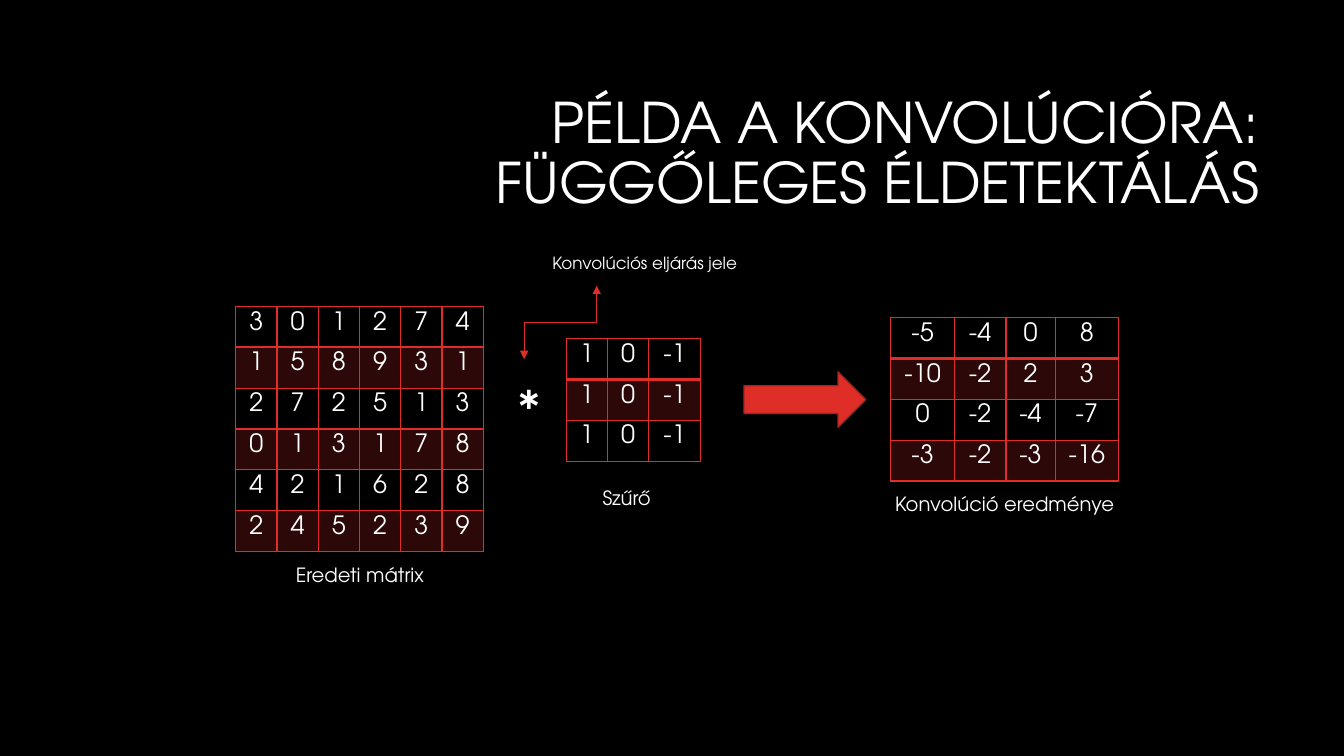
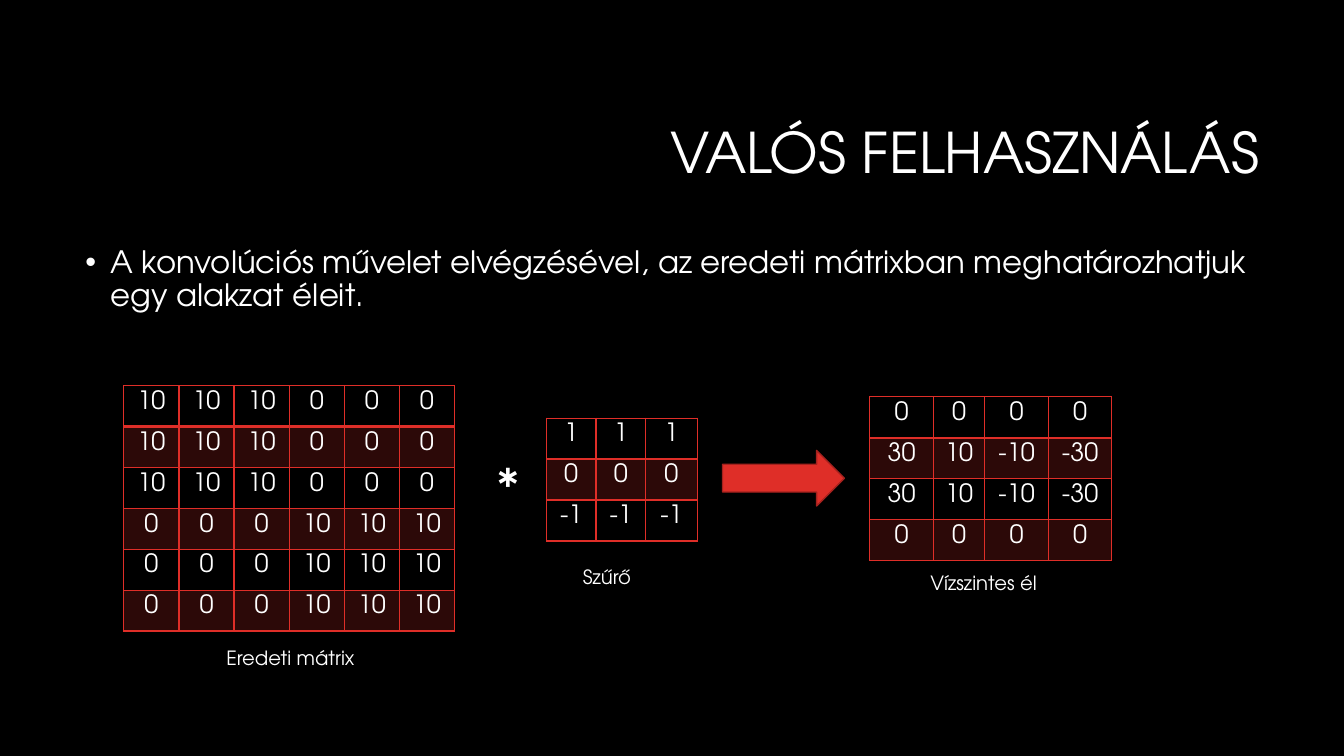
from dataclasses import dataclass

from lxml import etree
from pptx import Presentation
from pptx import util as u
from pptx.dml.color import RGBColor
from pptx.enum import shapes, text
from pptx.oxml.ns import qn

FONT = "TeX Gyre Adventor"
BLACK, WHITE, RED, DARK_RED = "000000", "FFFFFF", "DF2E28", "A5221E"
ROW_HEIGHT = 1.03
LEFT, CENTER, RIGHT = text.PP_ALIGN.LEFT, text.PP_ALIGN.CENTER, text.PP_ALIGN.RIGHT


@dataclass(frozen=True)
class Box:
    left: float
    top: float
    width: float
    height: float

    def lengths(self) -> list[u.Length]:
        return [u.Cm(value) for value in (self.left, self.top, self.width, self.height)]


@dataclass(frozen=True)
class Matrix:
    left: float
    top: float
    column_widths: tuple[float, ...]
    rows: tuple[tuple[int, ...], ...]
    caption: str
    caption_box: Box


@dataclass(frozen=True)
class Example:
    title: str
    operator_box: Box
    arrow_box: Box
    matrices: tuple[Matrix, ...]


EXAMPLES = (
    Example(
        "PÉLDA A KONVOLÚCIÓRA:\vFÜGGŐLEGES ÉLDETEKTÁLÁS",
        Box(12.83, 9.37, 0.81, 1.8),
        Box(18.75, 9.37, 3.07, 1.4),
        (
            Matrix(5.94, 7.72, (1.04,) * 6, (
                (3, 0, 1, 2, 7, 4),
                (1, 5, 8, 9, 3, 1),
                (2, 7, 2, 5, 1, 3),
                (0, 1, 3, 1, 7, 8),
                (4, 2, 1, 6, 2, 8),
                (2, 4, 5, 2, 3, 9),
            ), "Eredeti mátrix", Box(6.3, 14.07, 5.54, 0.86)),
            Matrix(14.27, 8.53, (1.04, 1.04, 1.3), ((1, 0, -1),) * 3,
                   "Szűrő", Box(14.27, 12.12, 3.05, 0.86)),
            Matrix(22.45, 8, (1.6, 1.3, 1.24, 1.6), (
                (-5, -4, 0, 8),
                (-10, -2, 2, 3),
                (0, -2, -4, -7),
                (-3, -2, -3, -16),
            ), "Konvolúció eredménye", Box(21.08, 12.27, 8.48, 0.86)),
        ),
    ),
    Example(
        "VALÓS FELHASZNÁLÁS",
        Box(12.29, 11.35, 0.81, 1.8),
        Box(18.21, 11.35, 3.07, 1.4),
        (
            Matrix(3.12, 9.72, (1.39,) * 6,
                   ((10, 10, 10, 0, 0, 0),) * 3 + ((0, 0, 0, 10, 10, 10),) * 3,
                   "Eredeti mátrix", Box(4.55, 16.15, 5.54, 0.86)),
            Matrix(13.77, 10.54, (1.25, 1.25, 1.3),
                   ((1,) * 3, (0,) * 3, (-1,) * 3),
                   "Szűrő", Box(13.77, 14.12, 3.05, 0.86)),
            Matrix(21.92, 10, (1.6, 1.3, 1.6, 1.6),
                   ((0,) * 4, (30, 10, -10, -30), (30, 10, -10, -30), (0,) * 4),
                   "Vízszintes él", Box(20.55, 14.27, 8.48, 0.86)),
        ),
    ),
)


def color(value: str) -> RGBColor:
    return RGBColor.from_string(value)


def style_paragraph(paragraph, size: float, alignment) -> None:
    paragraph.alignment = alignment
    paragraph.font.name = FONT
    paragraph.font.size = u.Pt(size)
    paragraph.font.color.rgb = color(WHITE)


def add_text(slide, box: Box, content: str, size: float, alignment=LEFT):
    shape = slide.shapes.add_textbox(*box.lengths())
    shape.text_frame.word_wrap = True
    paragraph = shape.text_frame.paragraphs[0]
    paragraph.text = content
    style_paragraph(paragraph, size, alignment)
    return shape


def add_title(slide, content: str) -> None:
    shape = add_text(slide, Box(8.05, 2.13, 23.93, 3.58), content, 40, RIGHT)
    shape.text_frame.vertical_anchor = text.MSO_ANCHOR.MIDDLE
    shape.text_frame.paragraphs[0].line_spacing = 0.9


def add_bullet(slide, content: str) -> None:
    shape = add_text(slide, Box(1.9, 6.1, 30.05, 11.18), content, 22)
    paragraph = shape.text_frame.paragraphs[0]
    paragraph.line_spacing = 0.9
    paragraph.space_before = u.Pt(10)
    properties = paragraph._p.get_or_add_pPr()
    indent = u.Cm(0.64)
    properties.set("marL", str(indent))
    properties.set("indent", str(-indent))
    etree.SubElement(properties, qn("a:buFont")).set("typeface", "Arial")
    etree.SubElement(properties, qn("a:buChar")).set("char", "•")
    defaults = properties.find(qn("a:defRPr"))
    if defaults is not None:
        properties.append(defaults)


def set_borders(cell, row_index: int) -> None:
    widths = {
        "a:lnL": 1,
        "a:lnR": 1,
        "a:lnT": 2 if row_index == 1 else 1,
        "a:lnB": 2 if row_index == 0 else 1,
    }
    properties = cell._tc.get_or_add_tcPr()
    for position, (tag, width) in enumerate(widths.items()):
        line = etree.Element(qn(tag), w=str(u.Pt(width)))
        fill = etree.SubElement(line, qn("a:solidFill"))
        etree.SubElement(fill, qn("a:srgbClr"), val=RED)
        properties.insert(position, line)


def fill_cell(cell, row_index: int) -> None:
    if row_index % 2 == 0:
        cell.fill.background()
        return
    cell.fill.solid()
    cell.fill.fore_color.rgb = color(RED)
    shade = cell._tc.tcPr.find(".//" + qn("a:srgbClr"))
    etree.SubElement(shade, qn("a:alpha"), val="20000")


def add_matrix(slide, matrix: Matrix) -> None:
    box = Box(matrix.left, matrix.top, sum(matrix.column_widths), ROW_HEIGHT * len(matrix.rows))
    table = slide.shapes.add_table(
        len(matrix.rows), len(matrix.column_widths), *box.lengths()).table
    table.first_row = False
    table.horz_banding = False
    for column, width in zip(table.columns, matrix.column_widths):
        column.width = u.Cm(width)
    for row_index, values in enumerate(matrix.rows):
        table.rows[row_index].height = u.Cm(ROW_HEIGHT)
        for column_index, value in enumerate(values):
            cell = table.cell(row_index, column_index)
            cell.text = str(value)
            style_paragraph(cell.text_frame.paragraphs[0], 18, CENTER)
            fill_cell(cell, row_index)
            set_borders(cell, row_index)
    add_text(slide, matrix.caption_box, matrix.caption, 14, CENTER)


def add_arrow(slide, box: Box) -> None:
    shape = slide.shapes.add_shape(shapes.MSO_SHAPE.RIGHT_ARROW, *box.lengths())
    shape.shadow.inherit = False
    shape.fill.solid()
    shape.fill.fore_color.rgb = color(RED)
    shape.line.color.rgb = color(DARK_RED)
    shape.line.width = u.Pt(1)


def add_operator_callout(slide) -> None:
    connector = slide.shapes.add_connector(
        shapes.MSO_CONNECTOR.ELBOW, u.Cm(15.05), u.Cm(9.04), u.Cm(13.2), u.Cm(7.21))
    connector.line.color.rgb = color(RED)
    connector.line.width = u.Pt(0.75)
    properties = connector.element.spPr
    properties.find(qn("a:xfrm")).set("rot", "5400000")
    line = properties.find(qn("a:ln"))
    for tag in ("a:headEnd", "a:tailEnd"):
        etree.SubElement(line, qn(tag), type="triangle")
    etree.SubElement(properties, qn("a:effectLst"))
    add_text(slide, Box(13.67, 6.25, 5.77, 0.76), "Konvolúciós eljárás jele", 12)


def add_example(presentation, example: Example):
    slide = presentation.slides.add_slide(presentation.slide_layouts[6])
    slide.background.fill.solid()
    slide.background.fill.fore_color.rgb = color(BLACK)
    add_title(slide, example.title)
    for matrix in example.matrices:
        add_matrix(slide, matrix)
    add_text(slide, example.operator_box, "*", 36)
    add_arrow(slide, example.arrow_box)
    return slide


def main() -> None:
    presentation = Presentation()
    presentation.slide_width = u.Cm(33.87)
    presentation.slide_height = u.Cm(19.05)
    edge_slide, usage_slide = [add_example(presentation, example) for example in EXAMPLES]
    add_operator_callout(edge_slide)
    add_bullet(
        usage_slide,
        "A konvolúciós művelet elvégzésével, az eredeti mátrixban meghatározhatjuk egy alakzat éleit.",
    )
    presentation.save("out.pptx")


if __name__ == "__main__":
    main()
